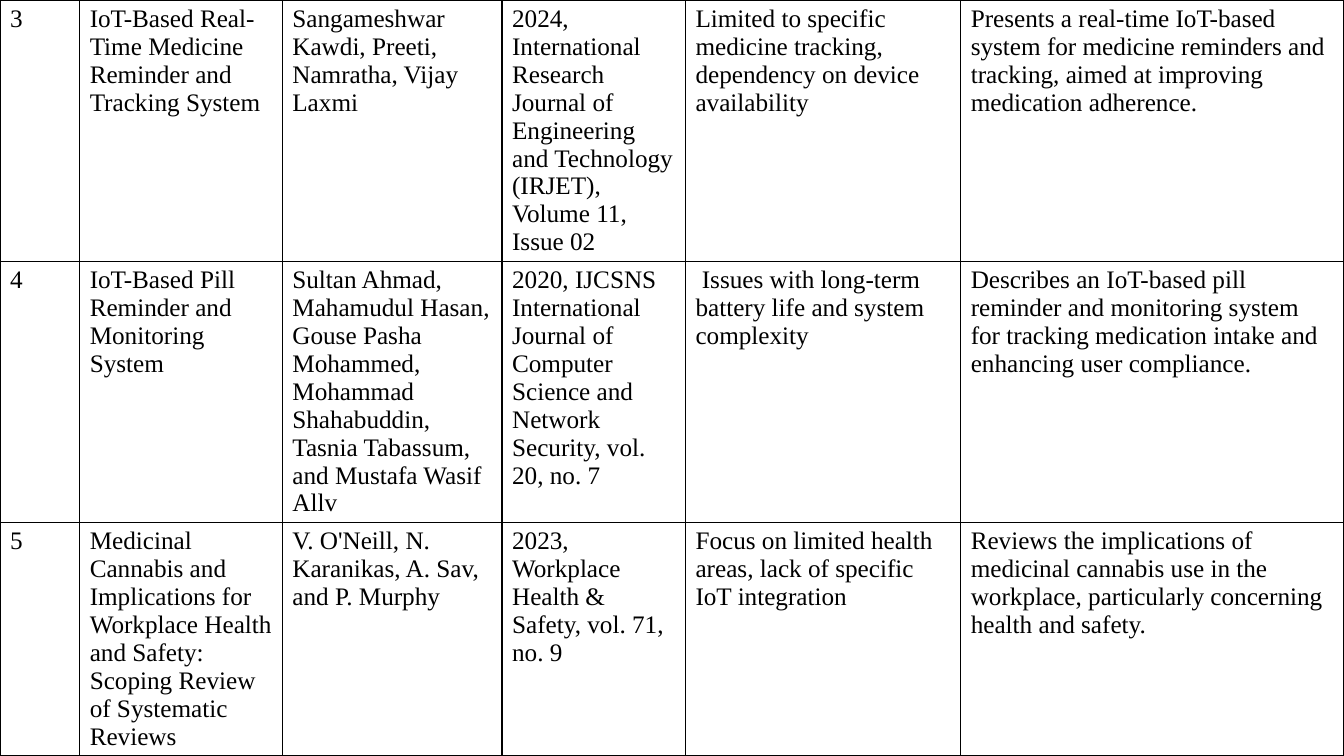
from dataclasses import astuple, dataclass

from lxml import etree
from pptx import Presentation
from pptx.dml.color import RGBColor
from pptx.oxml.ns import qn
from pptx.util import Inches, Pt

SLIDE_W = Inches(13.33)
SLIDE_H = Inches(7.5)
COLORS = {"text": "000000", "border": "000000"}
FONT = "Times New Roman"
FONT_SIZE = Pt(18)
BORDER_WIDTH = Pt(1)
BORDER_SIDES = ("a:lnL", "a:lnR", "a:lnT", "a:lnB")
COLUMN_PERCENTS = (5.93, 15.08, 16.35, 13.65, 20.48, 28.51)
ROW_PERCENT = 27.2
TABLE_PERCENT = 108


@dataclass(frozen=True)
class Paper:
    number: str
    title: str
    authors: str
    publication: str
    limitations: str
    summary: str


PAPERS = (
    Paper(
        "3",
        "IoT-Based Real-Time Medicine Reminder and Tracking System",
        "Sangameshwar Kawdi, Preeti, Namratha, Vijay Laxmi",
        "2024, International Research Journal of Engineering and Technology "
        "(IRJET), Volume 11, Issue 02",
        "Limited to specific medicine tracking, dependency on device availability",
        "Presents a real-time IoT-based system for medicine reminders and "
        "tracking, aimed at improving medication adherence.",
    ),
    Paper(
        "4",
        "IoT-Based Pill Reminder and Monitoring System",
        "Sultan Ahmad, Mahamudul Hasan, Gouse Pasha Mohammed, Mohammad "
        "Shahabuddin, Tasnia Tabassum, and Mustafa Wasif Allv",
        "2020, IJCSNS International Journal of Computer Science and Network "
        "Security, vol. 20, no. 7",
        " Issues with long-term battery life and system complexity",
        "Describes an IoT-based pill reminder and monitoring system for "
        "tracking medication intake and enhancing user compliance.",
    ),
    Paper(
        "5",
        "Medicinal Cannabis and Implications for Workplace Health and Safety: "
        "Scoping Review of Systematic Reviews",
        "V. O'Neill, N. Karanikas, A. Sav, and P. Murphy",
        "2023, Workplace Health & Safety, vol. 71, no. 9",
        "Focus on limited health areas, lack of specific IoT integration",
        "Reviews the implications of medicinal cannabis use in the workplace, "
        "particularly concerning health and safety.",
    ),
)


def share(length: int, percent: float) -> int:
    return round(length * percent / 100)


def add_borders(cell) -> None:
    tc_pr = cell._tc.get_or_add_tcPr()
    for side in BORDER_SIDES:
        ln = etree.SubElement(tc_pr, qn(side), w=str(BORDER_WIDTH))
        fill = etree.SubElement(ln, qn("a:solidFill"))
        etree.SubElement(fill, qn("a:srgbClr"), val=COLORS["border"])


def fill_cell(cell, text: str) -> None:
    add_borders(cell)
    cell.fill.background()
    p = cell.text_frame.paragraphs[0]
    p.text = text
    for r in p.runs:
        r.font.name = FONT
        r.font.size = FONT_SIZE
        r.font.color.rgb = RGBColor.from_string(COLORS["text"])


def add_paper_table(s, papers: tuple[Paper, ...]) -> None:
    height = share(SLIDE_H, TABLE_PERCENT)
    frame = s.shapes.add_table(
        len(papers), len(COLUMN_PERCENTS), 0, 0, SLIDE_W, height
    )
    table = frame.table
    table.first_row = False
    table.horz_banding = False
    for column, percent in zip(table.columns, COLUMN_PERCENTS):
        column.width = share(SLIDE_W, percent)
    for row, paper in zip(table.rows, papers):
        row.height = share(SLIDE_H, ROW_PERCENT)
        for cell, text in zip(row.cells, astuple(paper)):
            fill_cell(cell, text)
    frame.height = height


def main() -> None:
    prs = Presentation()
    prs.slide_width = SLIDE_W
    prs.slide_height = SLIDE_H
    s = prs.slides.add_slide(prs.slide_layouts[6])
    add_paper_table(s, PAPERS)
    prs.save("out.pptx")


if __name__ == "__main__":
    main()
